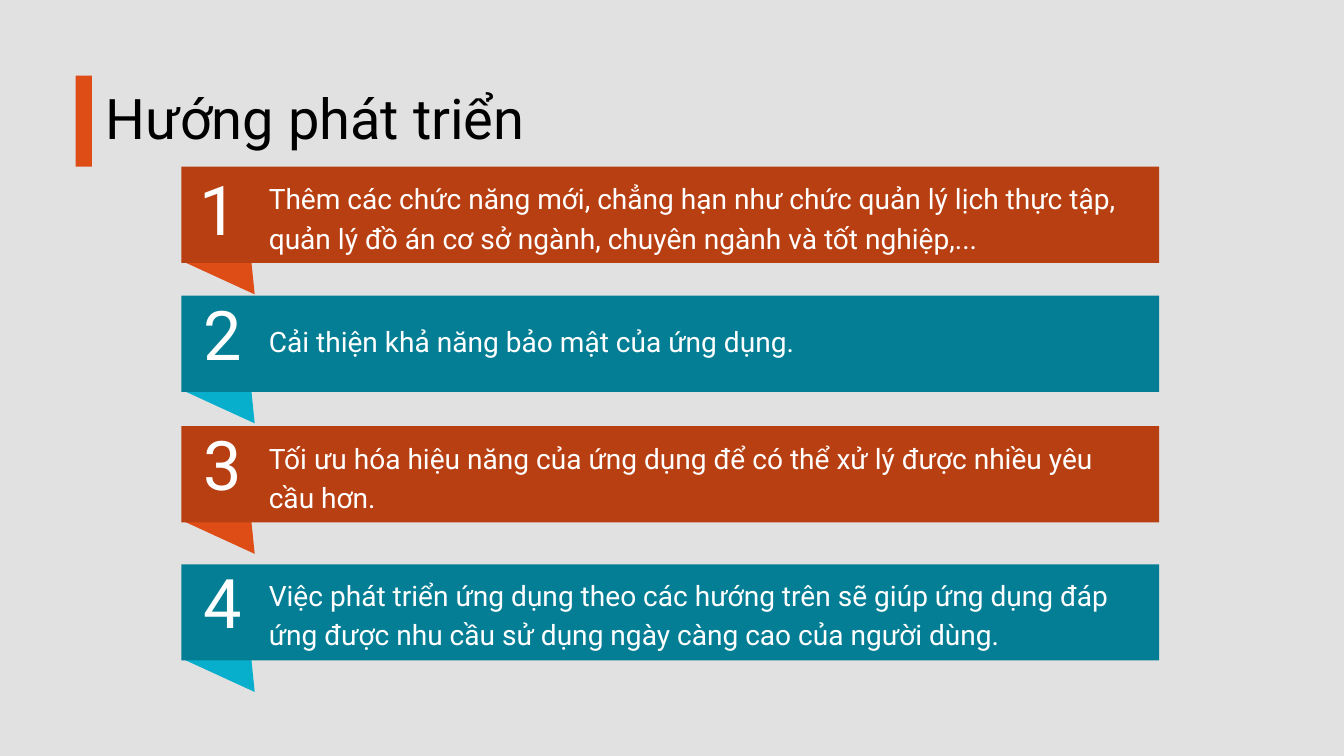
from pptx import Presentation
from pptx.dml.color import RGBColor
from pptx.enum.shapes import MSO_SHAPE
from pptx.enum.text import MSO_ANCHOR, MSO_AUTO_SIZE, PP_ALIGN
from pptx.util import Pt

RECTANGLE = MSO_SHAPE.RECTANGLE
TOP = MSO_ANCHOR.TOP
NO_AUTOFIT = MSO_AUTO_SIZE.NONE
LEFT, CENTER = PP_ALIGN.LEFT, PP_ALIGN.CENTER

ORANGE, DARK_ORANGE = "DF4D17", "B83F12"
CYAN, DARK_CYAN = "07AFCD", "047E94"
BAND_LEFT, BAND_WIDTH, BAND_HEIGHT = 194.4, 1047.6, 103


def paint(shape, color):
    shape.fill.solid()
    shape.fill.fore_color.rgb = RGBColor.from_string(color)
    shape.line.fill.background()
    shape.shadow.inherit = False


def write(box, text, size, spacing, color, align=LEFT):
    frame = box.text_frame
    frame.text = text
    frame.word_wrap = True
    frame.auto_size = NO_AUTOFIT
    frame.vertical_anchor = TOP
    frame.margin_left = frame.margin_right = 0
    frame.margin_top = frame.margin_bottom = 0
    para = frame.paragraphs[0]
    para.alignment = align
    para.line_spacing = Pt(spacing)
    span = para.runs[0]
    span.font.name = "Roboto"
    span.font.size = Pt(size)
    span.font.color.rgb = RGBColor.from_string(color)


deck = Presentation()
deck.slide_width, deck.slide_height = Pt(1440), Pt(810)
page = deck.slides.add_slide(deck.slide_layouts[5])
page.background.fill.solid()
page.background.fill.fore_color.rgb = RGBColor.from_string("E1E1E1")

accent = page.shapes.add_shape(RECTANGLE, Pt(81), Pt(81), Pt(17.5), Pt(97.5))
paint(accent, ORANGE)

title = page.shapes.title
title.left, title.top, title.width, title.height = Pt(113), Pt(77), Pt(527), Pt(85)
write(title, "Hướng phát triển", 60, 84, "000000")

items = [
    (178.6, 188.6, 149, 193.7,
     "Thêm các chức năng mới, chẳng hạn như chức quản lý lịch thực tập, "
     "quản lý đồ án cơ sở ngành, chuyên ngành và tốt nghiệp,..."),
    (316.8, 342, 152.6, 327.6, "Cải thiện khả năng bảo mật của ứng dụng."),
    (456.6, 466.6, 152.6, 467.3,
     "Tối ưu hóa hiệu năng của ứng dụng để có thể xử lý được nhiều yêu cầu hơn."),
    (604.6, 613.4, 152.6, 614.9,
     "Việc phát triển ứng dụng theo các hướng trên sẽ giúp ứng dụng đáp "
     "ứng được nhu cầu sử dụng ngày càng cao của người dùng."),
]
schemes = [(DARK_ORANGE, ORANGE), (DARK_CYAN, CYAN)]

for number, (band_top, text_top, number_left, number_top, text) in enumerate(items, 1):
    band_color, fold_color = schemes[(number - 1) % 2]

    outline = page.shapes.build_freeform(Pt(272.9), Pt(band_top + 136.8))
    outline.add_line_segments([
        (Pt(264.2), Pt(band_top + 51.1)),
        (Pt(BAND_LEFT), Pt(band_top + 100.8)),
    ])
    paint(outline.convert_to_shape(), fold_color)

    band = page.shapes.add_shape(
        RECTANGLE, Pt(BAND_LEFT), Pt(band_top), Pt(BAND_WIDTH), Pt(BAND_HEIGHT))
    paint(band, band_color)

    number_box = page.shapes.add_textbox(
        Pt(number_left), Pt(number_top), Pt(171.4), Pt(77.8))
    write(number_box, str(number), 73.3, 73.3, "FFFFFF", CENTER)

    text_box = page.shapes.add_textbox(Pt(288), Pt(text_top), Pt(929.5), Pt(85))
    write(text_box, text, 30.1, 42.2, "FFFFFF")

deck.save("out.pptx")
